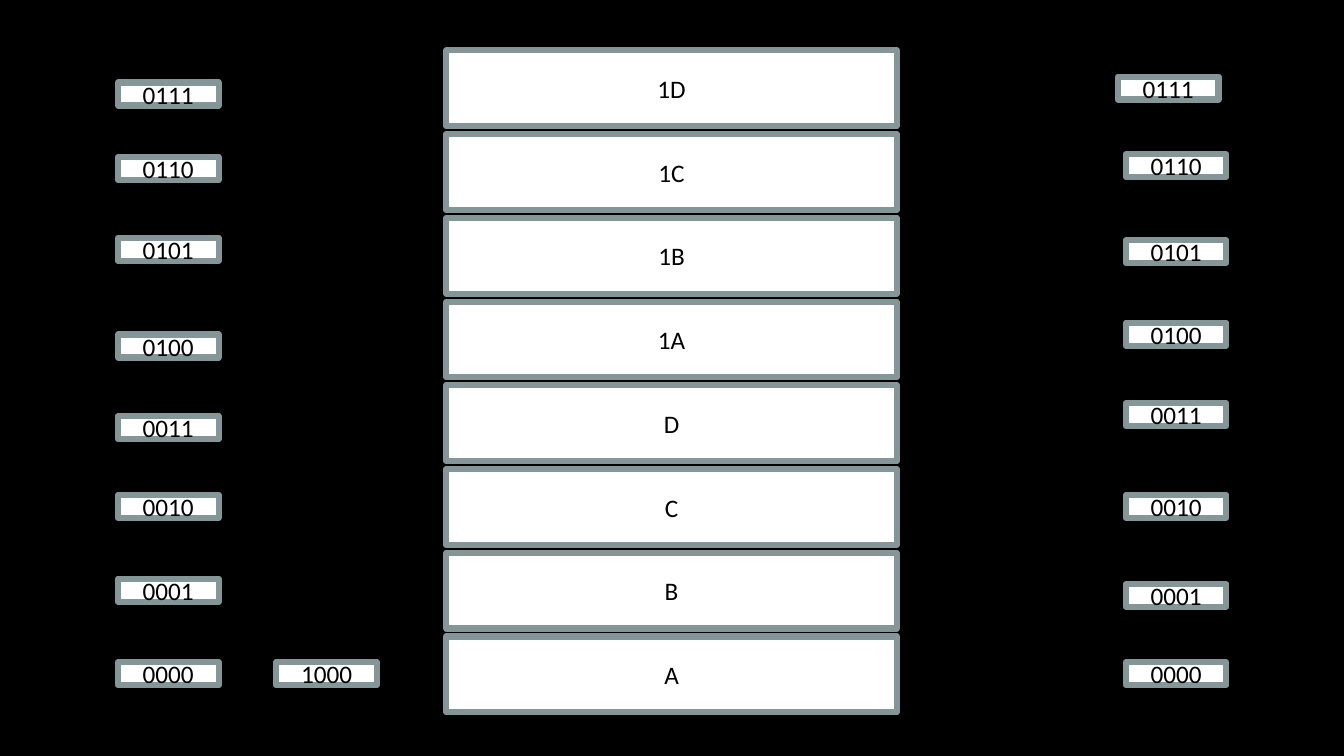
"""Build a slide of eight memory cells with their binary addresses on both sides."""
from dataclasses import dataclass

from pptx import Presentation
from pptx.dml.color import RGBColor
from pptx.enum.shapes import MSO_SHAPE
from pptx.enum.text import MSO_ANCHOR, PP_ALIGN
from pptx.util import Cm, Pt

CELLS = ["A", "B", "C", "D", "1A", "1B", "1C", "1D"]
LEFT_TOPS = [16.69, 14.58, 12.47, 10.49, 8.43, 5.99, 3.96, 2.08]
RIGHT_TOPS = [16.69, 14.71, 12.47, 10.16, 8.13, 6.05, 3.89, 1.93]
LEFT_X, RIGHT_X, LAST_RIGHT_X = 2.97, 28.37, 28.17
OVERFLOW = ("1000", 6.96, 16.69)

CELL_X, CELL_TOP, CELL_PITCH = 11.25, 1.27, 2.11
CELL_SIZE = (11.35, 1.91)
ADDRESS_SIZE = (2.54, 0.58)


@dataclass(frozen=True)
class Theme:
    """Colours and type of the slide."""
    background: RGBColor = RGBColor.from_string("000000")
    fill: RGBColor = RGBColor.from_string("FFFFFF")
    border: RGBColor = RGBColor.from_string("859698")
    text: RGBColor = RGBColor.from_string("000000")
    border_width: Pt = Pt(4.33)
    size: Pt = Pt(18)
    font: str = "Calibri"


THEME = Theme()


def add_box(slide, label, left, top, size):
    """Add a bordered rectangle with a centred label."""
    width, height = size
    box = slide.shapes.add_shape(
        MSO_SHAPE.RECTANGLE, Cm(left), Cm(top), Cm(width), Cm(height))
    box.shadow.inherit = False
    box.fill.solid()
    box.fill.fore_color.rgb = THEME.fill
    box.line.color.rgb = THEME.border
    box.line.width = THEME.border_width
    box.text_frame.vertical_anchor = MSO_ANCHOR.MIDDLE
    paragraph = box.text_frame.paragraphs[0]
    paragraph.text = label
    paragraph.alignment = PP_ALIGN.CENTER
    paragraph.font.name = THEME.font
    paragraph.font.size = THEME.size
    paragraph.font.color.rgb = THEME.text


def main():
    """Compose and save the slide."""
    deck = Presentation()
    deck.slide_width, deck.slide_height = Cm(33.87), Cm(19.05)
    slide = deck.slides.add_slide(deck.slide_layouts[6])
    slide.background.fill.solid()
    slide.background.fill.fore_color.rgb = THEME.background

    last = len(CELLS) - 1
    for index, cell in enumerate(CELLS):
        add_box(slide, cell, CELL_X, CELL_TOP + (last - index) * CELL_PITCH, CELL_SIZE)
    for index, top in enumerate(LEFT_TOPS):
        add_box(slide, f"{index:04b}", LEFT_X, top, ADDRESS_SIZE)
    for index, top in enumerate(RIGHT_TOPS):
        left = LAST_RIGHT_X if index == last else RIGHT_X
        add_box(slide, f"{index:04b}", left, top, ADDRESS_SIZE)
    add_box(slide, *OVERFLOW, ADDRESS_SIZE)

    deck.save("out.pptx")


if __name__ == "__main__":
    main()
